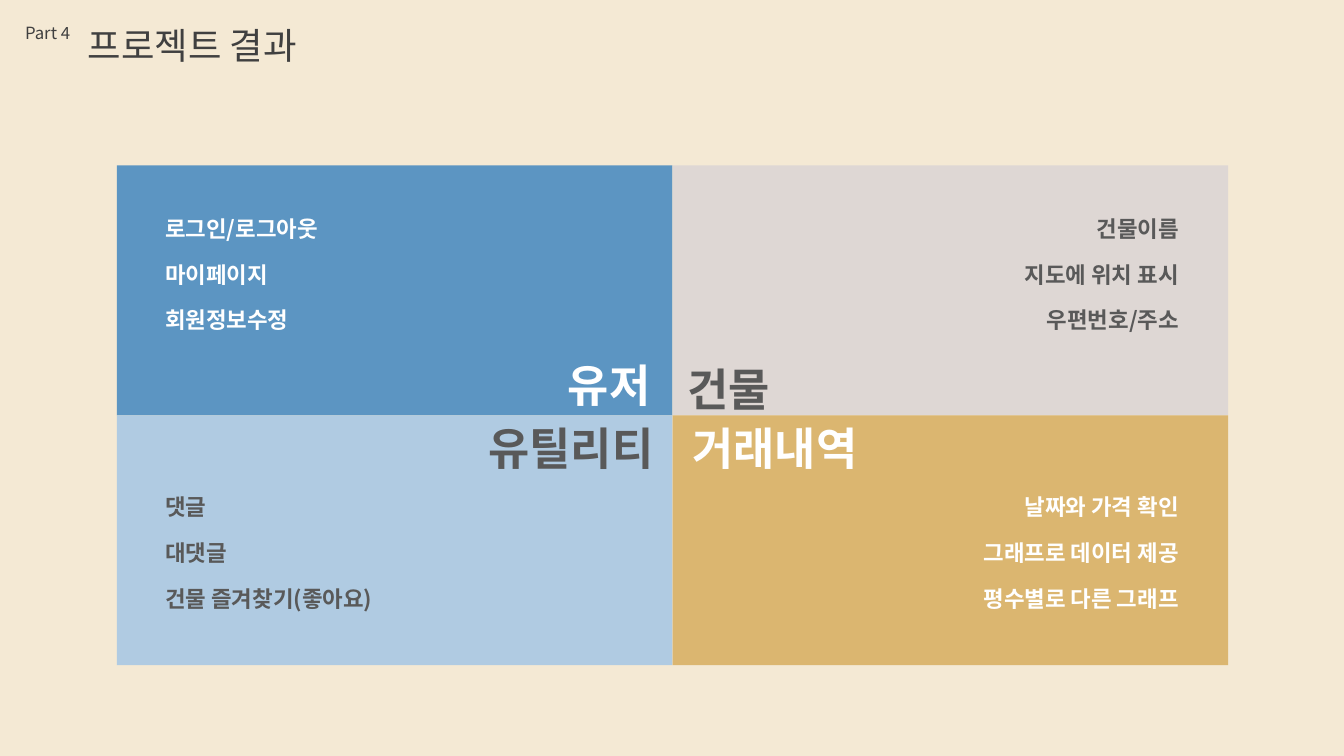
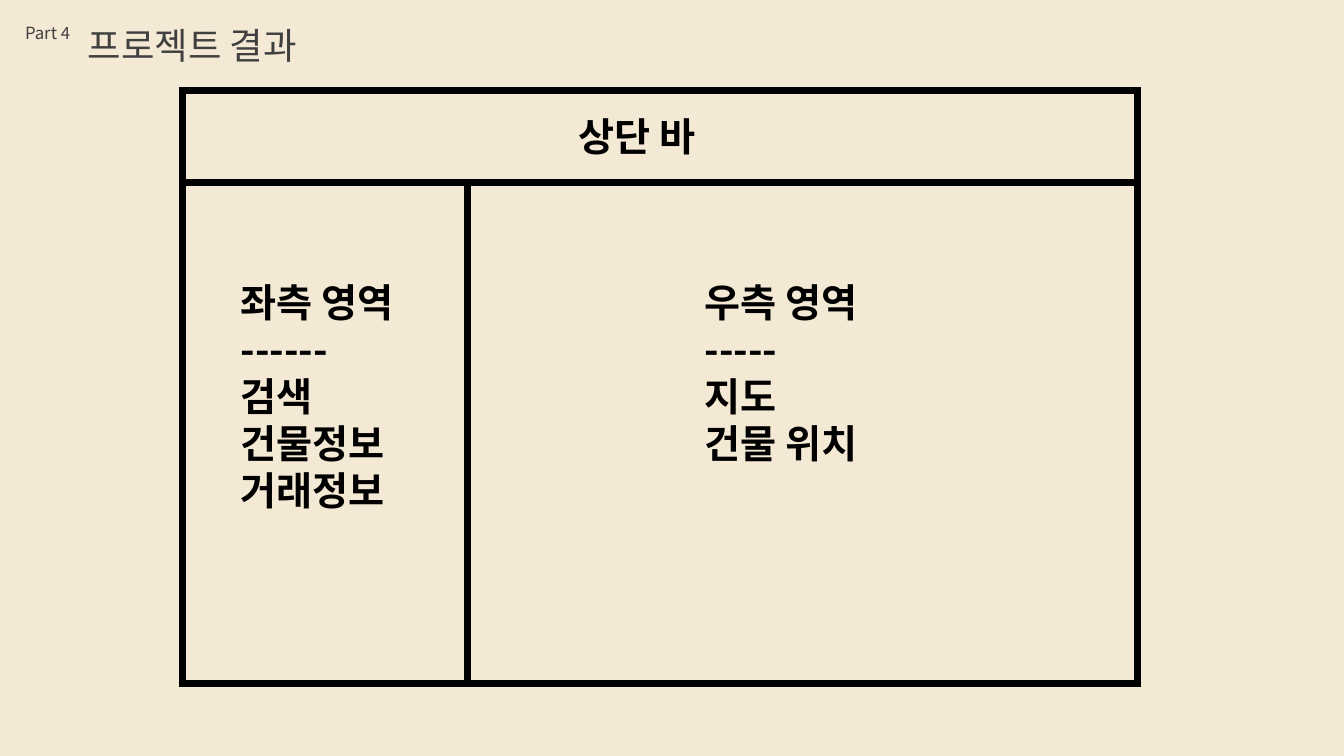
from dataclasses import dataclass

from lxml import etree
from pptx import Presentation
from pptx.dml.color import RGBColor
from pptx.enum.shapes import MSO_CONNECTOR, MSO_SHAPE
from pptx.enum.text import MSO_AUTO_SIZE, PP_ALIGN
from pptx.oxml.ns import qn
from pptx.util import Inches, Pt

LEFT, RIGHT = PP_ALIGN.LEFT, PP_ALIGN.RIGHT
FIT = MSO_AUTO_SIZE.SHAPE_TO_FIT_TEXT
RECT = MSO_SHAPE.RECTANGLE
STRAIGHT = MSO_CONNECTOR.STRAIGHT


@dataclass(frozen=True)
class Theme:
    font: str = "Noto Sans CJK KR"
    paper: str = "F4E9D4"
    title: str = "404040"
    dark: str = "595959"
    white: str = "FFFFFF"
    black: str = "000000"
    blue: str = "5C95C2"
    gray: str = "DED7D4"
    sky: str = "B0CBE2"
    gold: str = "DBB670"
    part_pt: int = 12
    title_pt: int = 26
    item_pt: int = 16
    head_pt: int = 32
    area_pt: int = 28
    line_pt: int = 5


theme = Theme()


def add_text(slide, box, lines, size, color, bold=False, align=LEFT,
             spacing=None, wrap=False):
    frame = slide.shapes.add_textbox(*map(Inches, box)).text_frame
    frame.word_wrap = wrap
    frame.auto_size = FIT
    frame.text = "\n".join(lines)
    for para in frame.paragraphs:
        para.alignment = align
        if spacing:
            para.line_spacing = spacing
        for run in para.runs:
            font = run.font
            font.name = theme.font
            font.size = Pt(size)
            font.bold = bold
            font.color.rgb = RGBColor.from_string(color)
            # Hangul takes its typeface from the East Asian slot
            asian = etree.SubElement(font._element, qn("a:ea"))
            asian.set("typeface", theme.font)


def add_page():
    """Add a blank slide with the part label and the title."""
    slide = deck.slides.add_slide(deck.slide_layouts[6])
    add_text(slide, (0.15, 0.18, 0.66, 0.3), ["Part 4"],
             theme.part_pt, theme.title)
    add_text(slide, (0.77, 0.18, 2.52, 0.54), ["프로젝트 결과"],
             theme.title_pt, theme.title)
    return slide


deck = Presentation()
deck.slide_width, deck.slide_height = Inches(13.33), Inches(7.5)
back = deck.slide_master.background.fill
back.solid()
back.fore_color.rgb = RGBColor.from_string(theme.paper)

# Slide 1: four feature groups around one centre
slide = add_page()
left, top, wide, high = 1.16, 1.64, 5.51, 2.48
groups = [
    # column, row, fill, ink, heading, heading box, items, items box
    (0, 0, theme.blue, theme.white, "유저", (4.92, 3.5, 1.63, 0.64),
     ["로그인/로그아웃", "마이페이지", "회원정보수정"], (1.54, 1.9, 3.38, 1.4)),
    (1, 0, theme.gray, theme.dark, "건물", (6.72, 3.54, 1.57, 0.64),
     ["건물이름", "지도에 위치 표시", "우편번호/주소"], (8.56, 1.9, 3.23, 1.4)),
    (0, 1, theme.sky, theme.dark, "유틸리티", (3.58, 4.12, 3, 0.64),
     ["댓글", "대댓글", "건물 즐겨찾기(좋아요)"], (1.54, 4.66, 3.38, 1.4)),
    (1, 1, theme.gold, theme.white, "거래내역", (6.77, 4.12, 2.63, 0.64),
     ["날짜와 가격 확인", "그래프로 데이터 제공", "평수별로 다른 그래프"],
     (9.06, 4.66, 2.73, 1.4)),
]
for col, row, fill, ink, head, head_box, items, item_box in groups:
    tile = slide.shapes.add_shape(
        RECT, Inches(left + col * wide), Inches(top + row * high),
        Inches(wide), Inches(high))
    tile.shadow.inherit = False
    tile.fill.solid()
    tile.fill.fore_color.rgb = RGBColor.from_string(fill)
    tile.line.fill.background()
    outer, inner = (RIGHT, LEFT) if col else (LEFT, RIGHT)
    add_text(slide, item_box, items, theme.item_pt, ink, True, outer,
             spacing=1.7, wrap=True)
    add_text(slide, head_box, [head], theme.head_pt, ink, True, inner,
             wrap=True)

# Slide 2: screen layout
slide = add_page()
left, top, right, base = 1.81, 0.9, 11.28, 6.78
bar, split = 1.81, 4.64
screen = slide.shapes.add_shape(
    RECT, Inches(left), Inches(top), Inches(right - left), Inches(base - top))
screen.shadow.inherit = False
screen.fill.background()
strokes = [screen]
for ends in [(left, bar, right, bar), (split, bar, split, base)]:
    rule = slide.shapes.add_connector(STRAIGHT, *map(Inches, ends))
    etree.SubElement(rule._element.spPr, qn("a:effectLst"))
    strokes.append(rule)
for shape in strokes:
    shape.line.color.rgb = RGBColor.from_string(theme.black)
    shape.line.width = Pt(theme.line_pt)
    edge = shape._element.spPr.find(qn("a:ln"))
    etree.SubElement(edge, qn("a:miter")).set("lim", "800000")

areas = [
    ((5.64, 1.07, 1.49, 0.57), ["상단 바"]),
    ((2.29, 2.71, 1.87, 2.46),
     ["좌측 영역", "------", "검색", "건물정보", "거래정보"]),
    ((6.89, 2.71, 1.87, 1.99),
     ["우측 영역", "-----", "지도", "건물 위치"]),
]
for box, lines in areas:
    add_text(slide, box, lines, theme.area_pt, theme.black, True)

deck.save("out.pptx")
